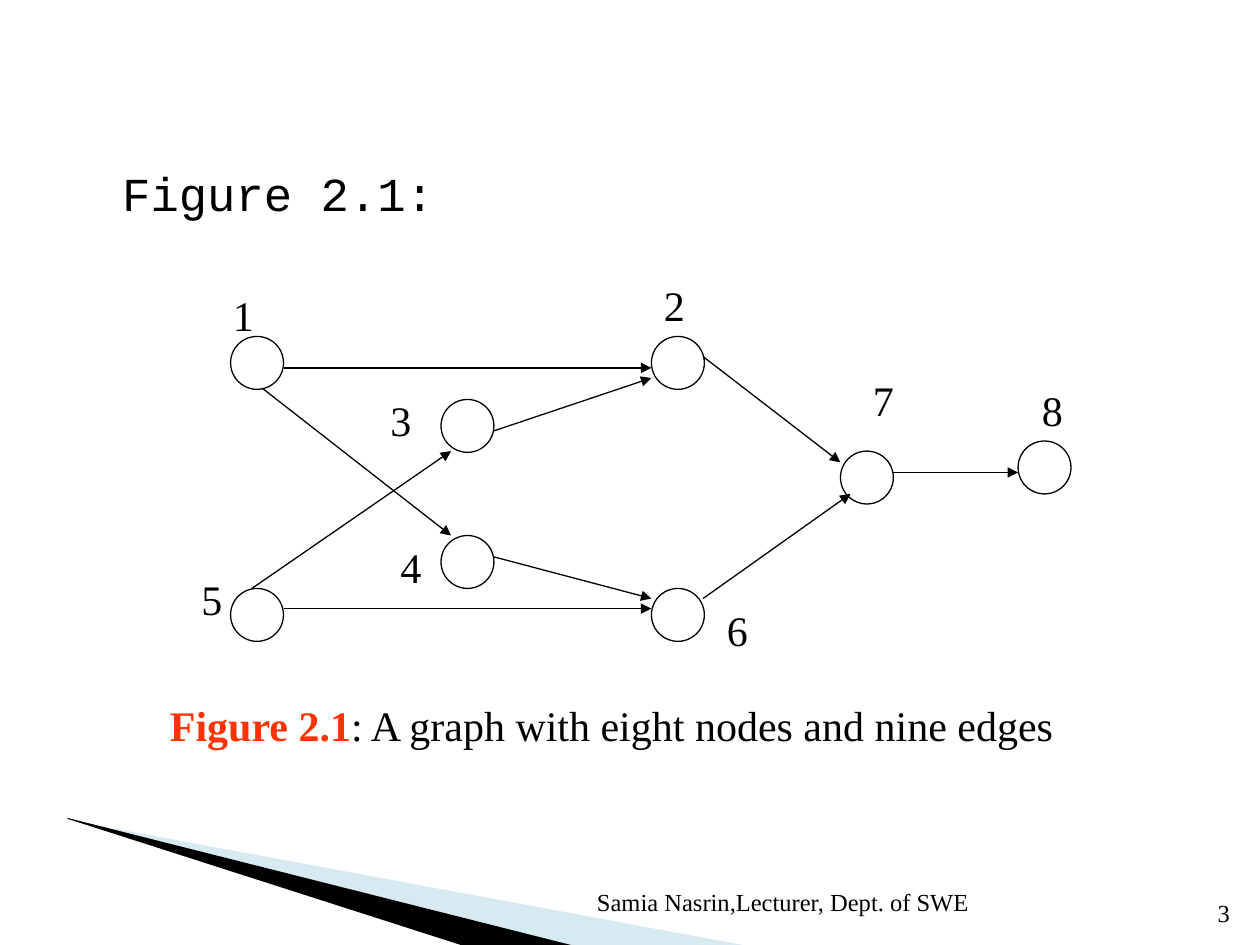
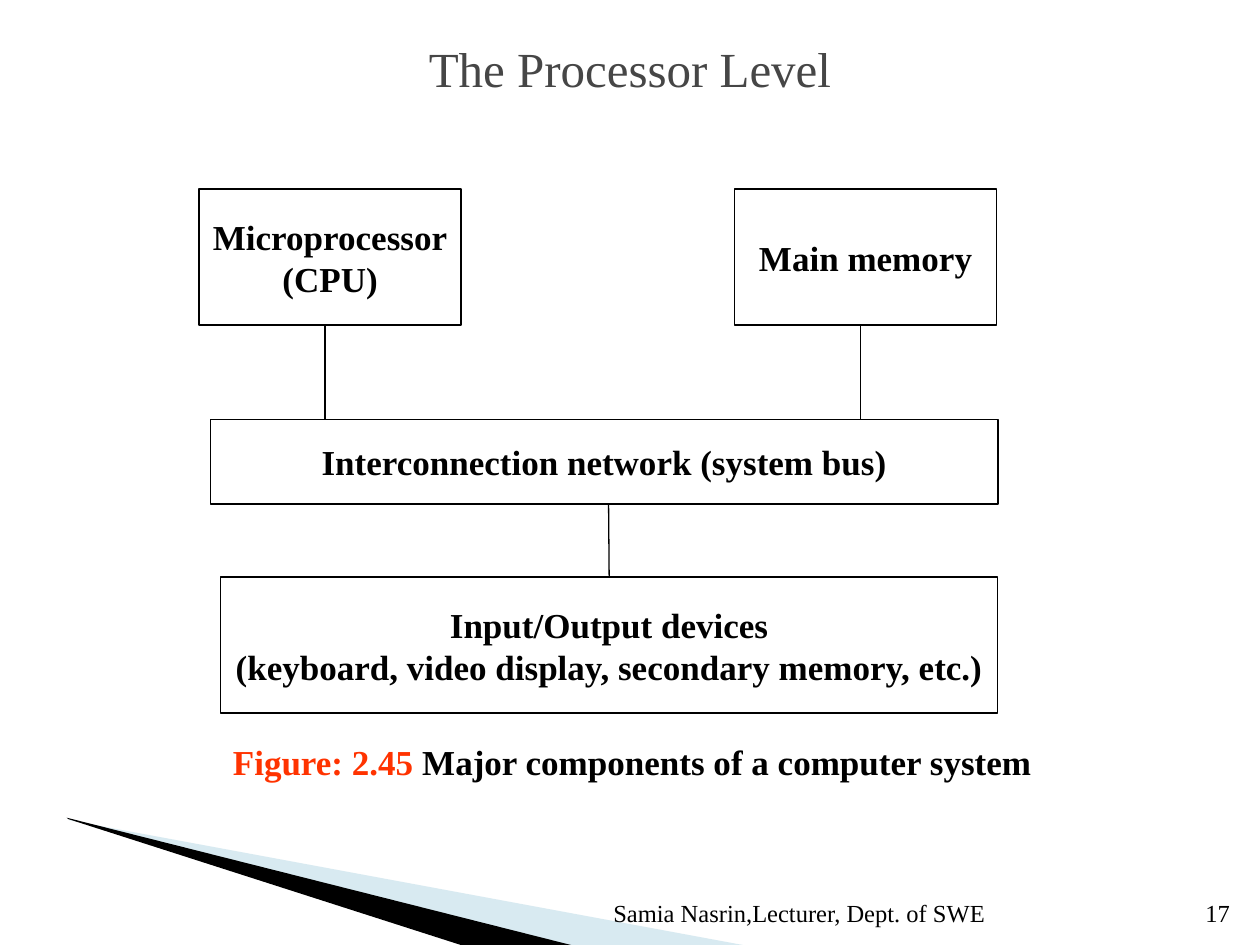
from dataclasses import dataclass

from lxml.etree import SubElement
from pptx import Presentation
from pptx.dml.color import RGBColor
from pptx.enum.shapes import MSO_CONNECTOR, MSO_SHAPE
from pptx.enum.text import MSO_ANCHOR, MSO_AUTO_SIZE, PP_ALIGN
from pptx.oxml.ns import qn
from pptx.util import Inches, Pt

SERIF = "Times New Roman"
MONO = "Courier New"
BLACK = "000000"
WHITE = "FFFFFF"
TITLE_GREY = "464646"
CAPTION_RED = "FF3300"
PALE_BLUE = "9FCBDC"
LINE_WIDTH = Pt(0.75)
NODE_SIZE = 0.42
LABEL_SIZE = (0.33, 0.5)
FOOTER = "Samia Nasrin,Lecturer, Dept. of SWE"


@dataclass
class Band:
    points: list[tuple[float, float]]
    fill: str
    opacity: int


@dataclass
class Node:
    label: str
    left: float
    top: float
    label_left: float
    label_top: float


@dataclass
class Line:
    start: tuple[float, float]
    end: tuple[float, float]


@dataclass
class Block:
    text: str
    left: float
    top: float
    width: float
    height: float


@dataclass
class Span:
    text: str
    color: str = BLACK
    bold: bool = False


BANDS = [
    Band([(0.55, 6.51), (5.95, 7.51), (4.56, 7.51), (0.55, 6.5)], PALE_BLUE, 40),
    Band([(0.53, 6.49), (4.57, 7.51), (3.72, 7.52), (0.54, 6.5)], BLACK, 100),
]

NODES = [
    Node("1", 1.83, 2.67, 1.75, 2.25),
    Node("2", 5.17, 2.67, 5.17, 2.17),
    Node("3", 3.5, 3.17, 3, 3.08),
    Node("4", 3.5, 4.25, 3.08, 4.25),
    Node("5", 1.83, 4.67, 1.5, 4.5),
    Node("6", 5.17, 4.67, 5.67, 4.75),
    Node("7", 6.67, 3.58, 6.83, 2.92),
    Node("8", 8.08, 3.5, 8.17, 3),
]

EDGES = [
    Line((2.25, 2.92), (5.17, 2.92)),
    Line((2.25, 4.83), (5.17, 4.83)),
    Line((2.08, 3.08), (3.58, 4.25)),
    Line((2, 4.67), (3.58, 3.58)),
    Line((3.92, 3.42), (5.17, 3)),
    Line((3.92, 4.42), (5.17, 4.75)),
    Line((5.58, 2.83), (6.67, 3.67)),
    Line((5.58, 4.75), (6.75, 3.92)),
    Line((7.08, 3.75), (8.08, 3.75)),
]

PROCESSOR = Block("Microprocessor\n(CPU)", 1.58, 1.5, 2.08, 1.08)
MEMORY = Block("Main memory", 5.83, 1.5, 2.08, 1.08)
BUS = Block("Interconnection network (system bus)", 1.67, 3.33, 6.25, 0.67)
DEVICES = Block(
    "Input/Output devices\n(keyboard, video display, secondary memory, etc.)",
    1.75, 4.58, 6.17, 1.08,
)
BUS_LINKS = [Line((2.58, 2.58), (2.58, 3.33)), Line((6.83, 2.58), (6.83, 3.33))]
DEVICE_LINK = Line((4.83, 4), (4.83, 4.58))


def rgb(color: str) -> RGBColor:
    return RGBColor.from_string(color)


def style_font(font, size: float, color: str = BLACK, bold: bool = False, name: str = SERIF) -> None:
    font.name = name
    font.size = Pt(size)
    font.bold = bold
    font.color.rgb = rgb(color)


def place(shape, left: float, top: float, width: float, height: float) -> None:
    shape.left, shape.top = Inches(left), Inches(top)
    shape.width, shape.height = Inches(width), Inches(height)


def add_text(slide, spans: list[Span], box: tuple[float, float, float, float], size: float,
             align=PP_ALIGN.LEFT, anchor=MSO_ANCHOR.TOP) -> None:
    text_frame = slide.shapes.add_textbox(*map(Inches, box)).text_frame
    text_frame.word_wrap = True
    text_frame.vertical_anchor = anchor
    paragraph = text_frame.paragraphs[0]
    paragraph.alignment = align
    for span in spans:
        run = paragraph.add_run()
        run.text = span.text
        style_font(run.font, size, span.color, span.bold)


def add_bands_to_master(presentation, slide) -> None:
    master_tree = presentation.slide_master.shapes.element
    for index, band in enumerate(BANDS):
        points = [(Inches(x), Inches(y)) for x, y in band.points]
        builder = slide.shapes.build_freeform(*points[0])
        builder.add_line_segments(points[1:], close=True)
        shape = builder.convert_to_shape()
        shape.shadow.inherit = False
        shape.fill.solid()
        shape.fill.fore_color.rgb = rgb(band.fill)
        shape.line.fill.background()
        if band.opacity < 100:
            color = shape.element.spPr.find(qn("a:solidFill")).find(qn("a:srgbClr"))
            SubElement(color, qn("a:alpha")).set("val", str(band.opacity * 1000))
        shape.element.nvSpPr.cNvPr.set("id", str(100 + index))
        master_tree.insert(2 + index, shape.element)


def add_footer(slide, box: tuple[float, float, float, float], number: str) -> None:
    for text, place_box in ((FOOTER, box), (number, (9.26, 7.01, 0.6, 0.4))):
        add_text(slide, [Span(text)], place_box, 14, PP_ALIGN.RIGHT, MSO_ANCHOR.BOTTOM)


def add_outlined(slide, kind, left: float, top: float, width: float, height: float):
    shape = slide.shapes.add_shape(kind, *map(Inches, (left, top, width, height)))
    shape.shadow.inherit = False
    shape.fill.solid()
    shape.fill.fore_color.rgb = rgb(WHITE)
    shape.line.color.rgb = rgb(BLACK)
    shape.line.width = LINE_WIDTH
    return shape


def add_node(slide, node: Node) -> None:
    add_outlined(slide, MSO_SHAPE.OVAL, node.left, node.top, NODE_SIZE, NODE_SIZE)
    add_text(slide, [Span(node.label)], (node.label_left, node.label_top, *LABEL_SIZE), 24)


def add_line(slide, line: Line, arrow: bool = False):
    connector = slide.shapes.add_connector(
        MSO_CONNECTOR.STRAIGHT, *map(Inches, (*line.start, *line.end)))
    connector.line.color.rgb = rgb(BLACK)
    connector.line.width = LINE_WIDTH
    properties = connector.element.spPr
    if arrow:
        SubElement(properties.find(qn("a:ln")), qn("a:tailEnd")).set("type", "triangle")
    SubElement(properties, qn("a:effectLst"))
    return connector


def add_block(slide, block: Block):
    shape = add_outlined(
        slide, MSO_SHAPE.RECTANGLE, block.left, block.top, block.width, block.height)
    text_frame = shape.text_frame
    text_frame.text = block.text
    text_frame.word_wrap = False
    text_frame.vertical_anchor = MSO_ANCHOR.MIDDLE
    for paragraph in text_frame.paragraphs:
        paragraph.alignment = PP_ALIGN.CENTER
        for run in paragraph.runs:
            style_font(run.font, 20, bold=True)
    return shape


def build_graph_slide(slide) -> None:
    title = slide.shapes.title
    title.element.getparent().remove(title.element)
    body = slide.placeholders[1]
    place(body, 0.75, 1.25, 8.5, 5.42)
    text_frame = body.text_frame
    text_frame.text = "Figure 2.1:"
    text_frame.auto_size = MSO_AUTO_SIZE.NONE
    paragraph = text_frame.paragraphs[0]
    paragraph.space_before = Pt(0)
    properties = paragraph._p.get_or_add_pPr()
    properties.set("marL", str(Inches(0.4)))
    properties.set("indent", str(Inches(-0.28)))
    SubElement(properties, qn("a:buNone"))
    style_font(paragraph.runs[0].font, 27, name=MONO)
    add_footer(slide, (4.54, 6.75, 3.25, 0.57), "3")
    for node in NODES:
        add_node(slide, node)
    for edge in EDGES:
        add_line(slide, edge, arrow=True)
    caption = [Span("Figure 2.1", CAPTION_RED, True),
               Span(": A graph with eight nodes and nine edges")]
    add_text(slide, caption, (1.25, 5.5, 7.58, 0.5), 24)


def build_processor_slide(slide) -> None:
    title = slide.shapes.title
    place(title, 0.75, 0.25, 8.5, 0.58)
    text_frame = title.text_frame
    text_frame.text = "The Processor Level"
    text_frame.auto_size = MSO_AUTO_SIZE.NONE
    text_frame.vertical_anchor = MSO_ANCHOR.MIDDLE
    paragraph = text_frame.paragraphs[0]
    paragraph.alignment = PP_ALIGN.CENTER
    style_font(paragraph.runs[0].font, 28, TITLE_GREY)
    add_footer(slide, (4.17, 7.01, 3.75, 0.4), "17")
    for block in (PROCESSOR, MEMORY, BUS):
        add_block(slide, block)
    devices = add_block(slide, DEVICES)
    for link in BUS_LINKS:
        add_line(slide, link)
    add_line(slide, DEVICE_LINK).end_connect(devices, 0)
    caption = [Span("Figure: 2.45 ", CAPTION_RED, True),
               Span("Major components of a computer system", bold=True)]
    add_text(slide, caption, (1.75, 5.83, 6.58, 0.44), 20)


def main() -> None:
    presentation = Presentation()
    presentation.slide_width = Inches(10)
    presentation.slide_height = Inches(7.5)
    graph_slide = presentation.slides.add_slide(presentation.slide_layouts[1])
    processor_slide = presentation.slides.add_slide(presentation.slide_layouts[5])
    add_bands_to_master(presentation, graph_slide)
    build_graph_slide(graph_slide)
    build_processor_slide(processor_slide)
    presentation.save("out.pptx")


if __name__ == "__main__":
    main()
